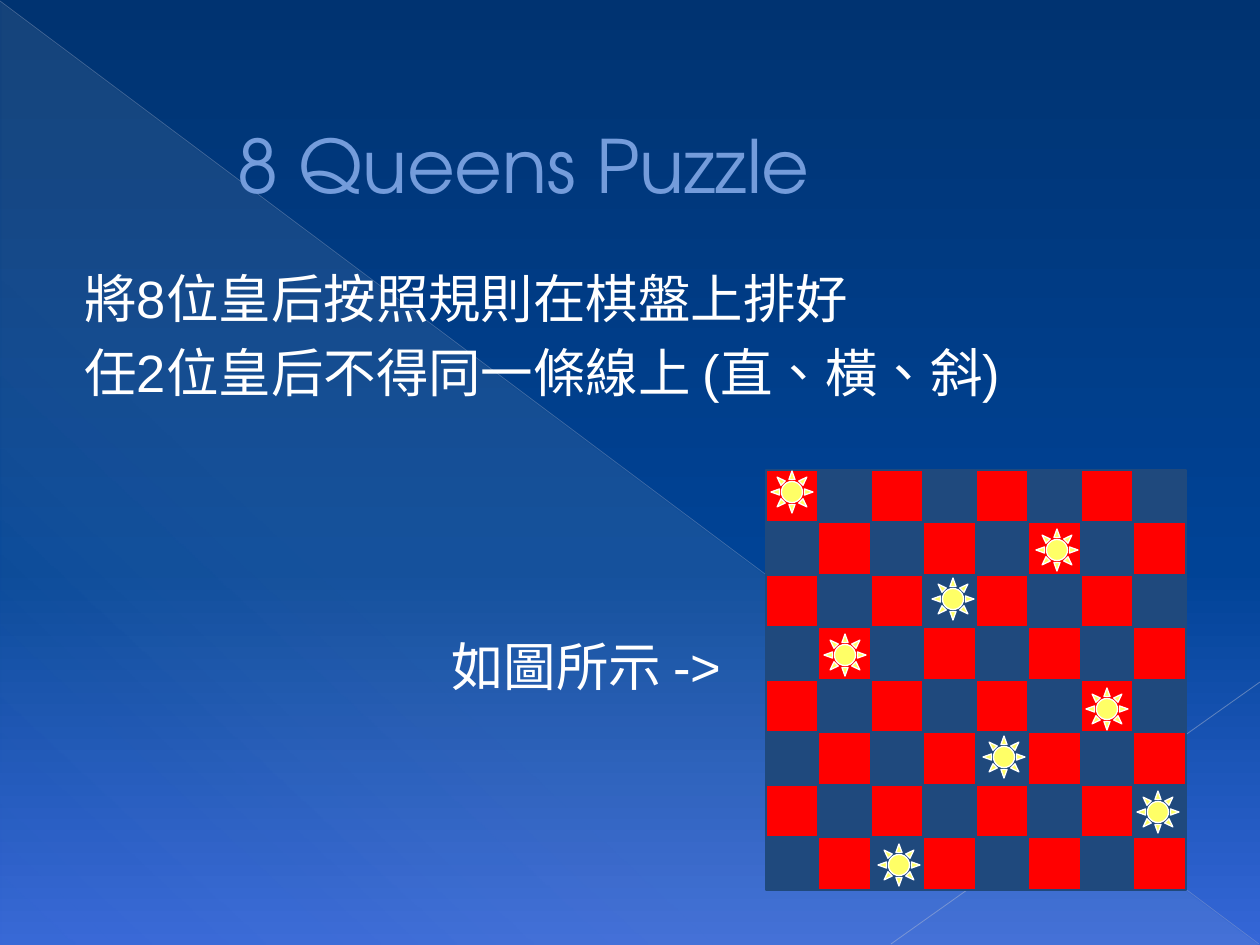
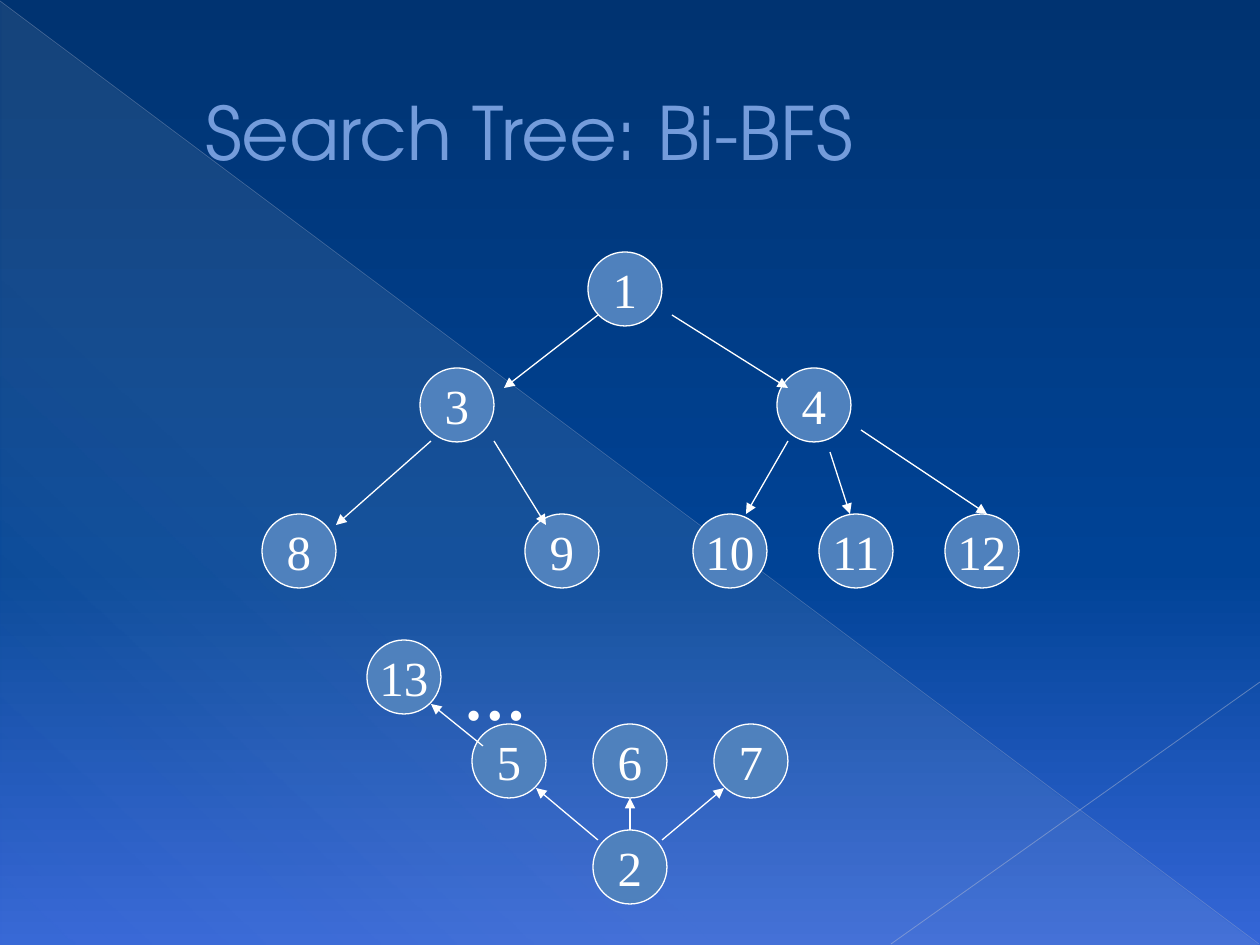
from lxml import etree
from pptx import Presentation, util as u
from pptx.dml.color import RGBColor
from pptx.enum import lang, shapes, text
from pptx.oxml import ns

PX = u.Inches(1) / 126
SLIDE_W, SLIDE_H = 1260, 945

# Colours
WHITE = RGBColor(0xFF, 0xFF, 0xFF)
TITLE_BLUE = RGBColor(0x74, 0x9C, 0xDB)
NODE_BLUE = RGBColor(0x4F, 0x81, 0xBD)
SQUARE_BLUE = RGBColor(0x1F, 0x49, 0x7D)
SQUARE_RED = RGBColor(0xFF, 0x00, 0x00)
QUEEN_YELLOW = RGBColor(0xFF, 0xFF, 0x66)
CREAM = RGBColor(0xEE, 0xEC, 0xE1)
LONG_RAY = RGBColor(0xAD, 0xB6, 0xCE)
SHORT_RAY = RGBColor(0xB6, 0xBE, 0xD3)

# Gradient stops: position %, colour, opacity %
SKY = [(0, RGBColor(0x00, 0x33, 0x71), 100),
       (60, RGBColor(0x00, 0x43, 0x96), 100),
       (100, RGBColor(0x35, 0x66, 0xD7), 100)]
GLOW = [(0, CREAM, 10), (70, CREAM, 8), (100, CREAM, 1)]

TITLE_FONT, BODY_FONT, NODE_FONT = "TeX Gyre Adventor", "Arial", "Times New Roman"

# Chess board: queens are left, top
BOARD_LEFT, BOARD_TOP, BOARD_SIDE, ROWS = 766, 470, 420, 8
SQUARE, QUEEN = 53, 42
QUEENS = [(771, 471), (824, 634), (878, 844), (932, 578),
          (983, 736), (1036, 529), (1086, 688), (1137, 791)]

# Search tree: top of each level, then label and left of its nodes
NODE = 74
LEVELS = [
    (252, [("1", 588)]),
    (368, [("3", 420), ("4", 777)]),
    (514, [("8", 262), ("9", 525), ("10", 693), ("11", 819), ("12", 945)]),
    (640, [("13", 367)]),
    (724, [("5", 472), ("6", 593), ("7", 714)]),
    (830, [("2", 593)]),
]
ARROWS = [
    (598, 315, 504, 388), (431, 441, 336, 525), (672, 315, 788, 388),
    (494, 441, 546, 525), (788, 441, 746, 514), (830, 452, 850, 514),
    (861, 430, 987, 514), (598, 840, 536, 788), (483, 746, 431, 704),
    (630, 830, 630, 798), (662, 840, 724, 788),
]


def px(*lengths):
    return [u.Emu(round(length * PX)) for length in lengths]


def sub(parent, tag, **attributes):
    return etree.SubElement(parent, ns.qn(tag), attributes)


def set_gradient(fill, element, stops, angle):
    fill.gradient()
    gradient = element.find(".//" + ns.qn("a:gradFill"))
    for child in list(gradient):
        gradient.remove(child)
    stop_list = sub(gradient, "a:gsLst")
    for position, colour, opacity in stops:
        stop = sub(stop_list, "a:gs", pos=str(position * 1000))
        shade = sub(stop, "a:srgbClr", val=str(colour))
        if opacity < 100:
            sub(shade, "a:alpha", val=str(opacity * 1000))
    sub(gradient, "a:lin", ang=str(angle * 60000), scaled="0")


def add_line(slide, ends, colour, width):
    line = slide.shapes.add_connector(shapes.MSO_CONNECTOR.STRAIGHT, *px(*ends))
    line.line.color.rgb = colour
    line.line.width = u.Pt(width)
    sub(line.element.spPr, "a:effectLst")
    return line


def add_ray(slide, ends, colour, width, opacity):
    ray = add_line(slide, ends, colour, width)
    shade = ray.element.spPr.find(".//" + ns.qn("a:srgbClr"))
    sub(shade, "a:alpha", val=str(opacity * 1000))


def add_arrow(slide, ends):
    arrow = add_line(slide, ends, WHITE, 0.75)
    sub(arrow.element.spPr.find(ns.qn("a:ln")), "a:tailEnd", type="triangle")


def add_figure(slide, preset, place, fill, outline):
    figure = slide.shapes.add_shape(preset, *px(*place))
    figure.shadow.inherit = False
    figure.fill.solid()
    figure.fill.fore_color.rgb = fill
    figure.line.color.rgb = outline
    figure.line.width = u.Pt(0.75)
    return figure


def write(paragraph, words, font, size, colour=WHITE, bold=None):
    run = paragraph.add_run()
    run.text = words
    run.font.name = font
    run.font.size = u.Pt(size)
    run.font.color.rgb = colour
    run.font.bold = bold
    return run


def add_frame(slide, place):
    frame = slide.shapes.add_textbox(*px(*place)).text_frame
    frame.word_wrap = True
    return frame


def add_title(slide, words, place):
    frame = add_frame(slide, place)
    frame.vertical_anchor = text.MSO_ANCHOR.MIDDLE
    write(frame.paragraphs[0], words, TITLE_FONT, 42, TITLE_BLUE)


def add_chinese(slide, lines, place):
    frame = add_frame(slide, place)
    for index, words in enumerate(lines):
        paragraph = frame.add_paragraph() if index else frame.paragraphs[0]
        if index:
            paragraph.space_before = u.Pt(6)
        run = write(paragraph, words, BODY_FONT, 30)
        run.font.language_id = lang.MSO_LANGUAGE_ID.TRADITIONAL_CHINESE


def add_node(slide, label, left, top):
    node = add_figure(slide, shapes.MSO_SHAPE.OVAL, (left, top, NODE, NODE),
                      NODE_BLUE, WHITE)
    frame = node.text_frame
    frame.word_wrap = False
    frame.vertical_anchor = text.MSO_ANCHOR.MIDDLE
    frame.paragraphs[0].alignment = text.PP_ALIGN.CENTER
    write(frame.paragraphs[0], label, NODE_FONT, 28)


def add_board(slide):
    steps = [index * BOARD_SIDE // ROWS for index in range(ROWS)]
    for column, x in enumerate(steps):
        for row, y in enumerate(steps):
            fill = SQUARE_BLUE if (column + row) % 2 else SQUARE_RED
            place = (BOARD_LEFT + x, BOARD_TOP + y, SQUARE, SQUARE)
            add_figure(slide, shapes.MSO_SHAPE.RECTANGLE, place, fill, SQUARE_BLUE)
    for left, top in QUEENS:
        add_figure(slide, shapes.MSO_SHAPE.SUN, (left, top, QUEEN, QUEEN),
                   QUEEN_YELLOW, WHITE)


def new_slide(deck):
    """Add a slide with the shared sky, glow and rays."""
    slide = deck.slides.add_slide(deck.slide_layouts[6])
    set_gradient(slide.background.fill, slide.element, SKY, 90)
    glow = slide.shapes.add_shape(shapes.MSO_SHAPE.RIGHT_TRIANGLE,
                                  *px(1, 2, 1258, 943))
    glow.shadow.inherit = False
    glow.line.fill.background()
    set_gradient(glow.fill, glow.element, GLOW, 133)
    add_ray(slide, (0, 1, 1259, 944), LONG_RAY, 0.39, 35)
    add_ray(slide, (1260, 682, 891, 944), SHORT_RAY, 0.47, 45)
    return slide


def build_queens(deck):
    slide = new_slide(deck)
    add_title(slide, "8 Queens Puzzle", (225, 112, 1004, 105))
    add_chinese(slide, ["將8位皇后按照規則在棋盤上排好",
                        "任2位皇后不得同一條線上 (直、橫、斜)"],
                (72, 260, 1125, 160))
    add_chinese(slide, ["如圖所示 ->"], (439, 628, 325, 80))
    add_board(slide)


def build_tree(deck):
    slide = new_slide(deck)
    add_title(slide, "Search Tree: Bi-BFS", (193, 35, 1067, 193))
    for top, nodes in LEVELS:
        for label, left in nodes:
            add_node(slide, label, left, top)
    for ends in ARROWS:
        add_arrow(slide, ends)
    # Levels left out between the two searches
    gap = add_frame(slide, (451, 651, 63, 89)).paragraphs[0]
    gap.alignment = text.PP_ALIGN.RIGHT
    write(gap, "…", NODE_FONT, 36, bold=True)


def main():
    deck = Presentation()
    deck.slide_width, deck.slide_height = px(SLIDE_W, SLIDE_H)
    build_queens(deck)
    build_tree(deck)
    deck.save("out.pptx")


if __name__ == "__main__":
    main()
